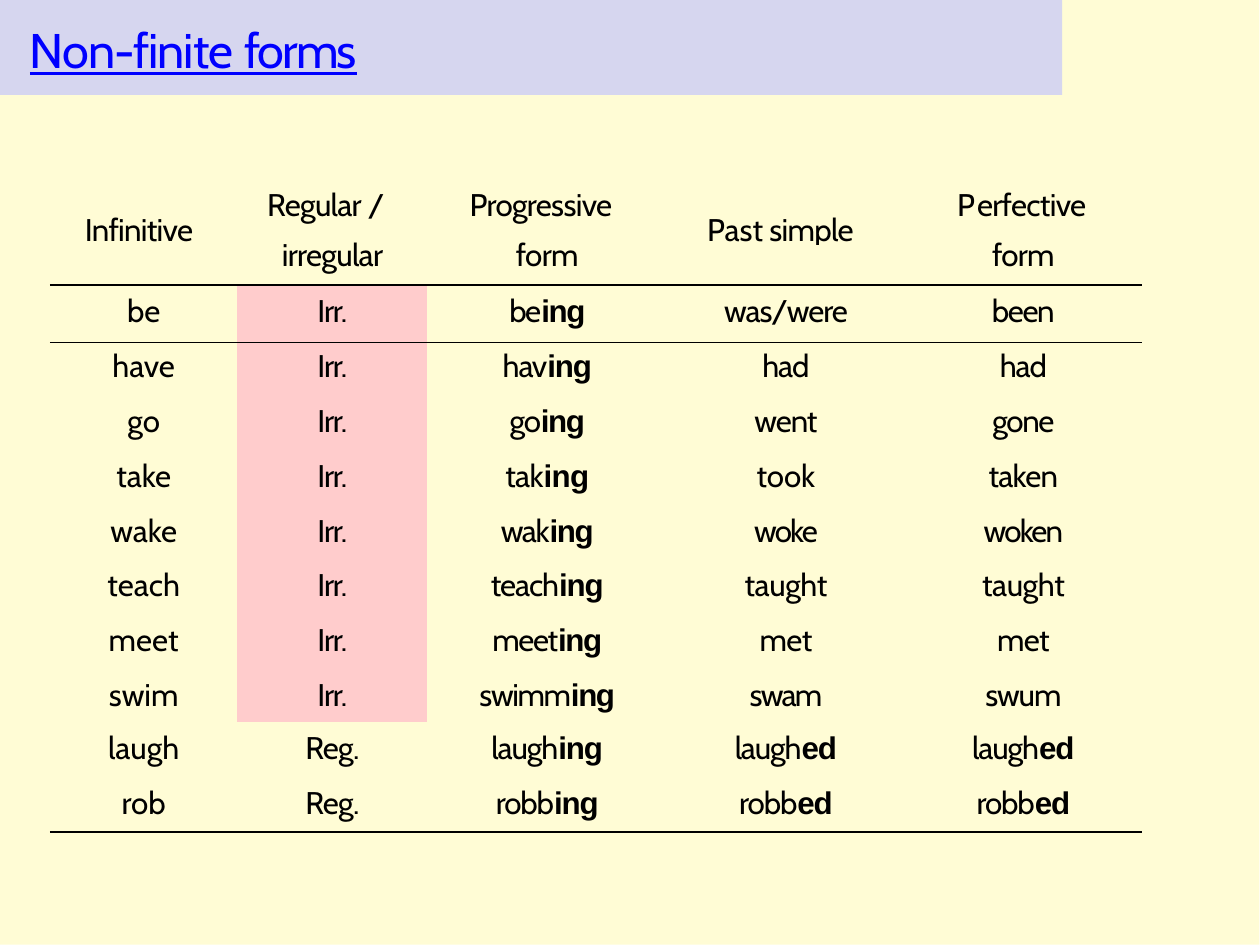
from lxml import etree
from pptx import Presentation
from pptx.dml.color import RGBColor
from pptx.enum.shapes import MSO_SHAPE
from pptx.enum.text import MSO_ANCHOR, MSO_AUTO_SIZE, PP_ALIGN
from pptx.oxml import parse_xml
from pptx.oxml.ns import nsdecls, qn
from pptx.util import Inches, Pt

RECTANGLE = MSO_SHAPE.RECTANGLE
TOP = MSO_ANCHOR.TOP
NO_AUTOSIZE = MSO_AUTO_SIZE.NONE
LEFT, CENTER = PP_ALIGN.LEFT, PP_ALIGN.CENTER

CREAM = RGBColor(0xFF, 0xFC, 0xD5)
LAVENDER = RGBColor(0xD6, 0xD6, 0xEF)
PINK = RGBColor(0xFF, 0xCC, 0xCC)
BLUE = RGBColor(0x00, 0x00, 0xFF)
BLACK = RGBColor(0x00, 0x00, 0x00)

BODY_FONT, ENDING_FONT = "Cabin", "Arial"
BODY_SIZE = 9
NO_STYLE_NO_GRID = "{2D5ABB26-0587-4C30-8999-92F81FD0307C}"
TITLE_RUNS = [("Non-finite", -0.3), (" ", -0.1), ("forms", -0.6)]

COLUMN_WIDTHS = [0.75, 0.76, 0.96, 0.95, 0.95]
ROW_HEIGHTS = [0.16, 0.23] + [0.22] * 6 + [0.2, 0.23, 0.21]
RULED_ROWS = (0, 1, 10)

HEADER_LABELS = [
    (0.33, 0.83, 0.49, [("Infinitive", -0.2)]),
    (1.06, 0.73, 0.54, [("Regular ", -0.2), ("/", 1.1)]),
    (1.87, 0.73, 0.63, [("Progressive", -0.2)]),
    (2.82, 0.83, 0.64, [("Past", 0), (" simple", -0.2)]),
    (3.82, 0.73, 0.55, [("P", 0.6), ("erfective", -0.2)]),
]
HEADER_SECOND_LINES = ["", "irregular", "form", "", "form"]

VERBS = [
    ("be", "Irr.", "be|ing", "was/were", "been", (-0.4, -0.3, -0.4)),
    ("have", "Irr.", "hav|ing", "had", "had", (-0.3, -0.3, -0.3)),
    ("go", "Irr.", "go|ing", "went", "gone", (-0.4, -0.3, -0.4)),
    ("take", "Irr.", "tak|ing", "took", "taken", (-0.2, 0, -0.2)),
    ("wake", "Irr.", "wak|ing", "woke", "woken", (-0.4, -0.5, -0.5)),
    ("teach", "Irr.", "teach|ing", "taught", "taught", (-0.3, -0.1, -0.1)),
    ("meet", "Irr.", "meet|ing", "met", "met", (-0.4, -0.2, -0.2)),
    ("swim", "Irr.", "swimm|ing", "swam", "swum", (-0.4, -0.5, -0.3)),
    ("laugh", "Reg.", "laugh|ing", "laugh|ed", "laugh|ed", (-0.3, -0.3, -0.3)),
    ("rob", "Reg.", "robb|ing", "robb|ed", "robb|ed", (-0.3, -0.3, -0.3)),
]


def add_run(paragraph, text, spacing, size=BODY_SIZE, color=BLACK):
    run = paragraph.add_run()
    run.text = text
    run.font.name = BODY_FONT
    run.font.size = Pt(size)
    run.font.color.rgb = color
    run._r.get_or_add_rPr().set("spc", str(round(spacing * 100)))
    return run


def prepare_frame(text_frame, top_inset, space_before):
    text_frame.word_wrap = True
    text_frame.auto_size = NO_AUTOSIZE
    text_frame.vertical_anchor = TOP
    text_frame.margin_left = Inches(0.01)
    text_frame.margin_right = text_frame.margin_bottom = 0
    text_frame.margin_top = Inches(top_inset)
    paragraph = text_frame.paragraphs[0]
    paragraph.alignment = LEFT
    paragraph.line_spacing = 1.0
    paragraph.space_before = Pt(space_before)
    return paragraph


def add_title(slide):
    title = slide.shapes.title
    title.left, title.top = Inches(0.11), Inches(0.06)
    title.width, title.height = Inches(1.35), Inches(0.27)
    paragraph = prepare_frame(title.text_frame, 0.02, 1.4)
    for text, spacing in TITLE_RUNS:
        run = add_run(paragraph, text, spacing, 14, BLUE)
        run.font.underline = True


def add_panel(slide, width, height, color):
    panel = slide.shapes.add_shape(RECTANGLE, 0, 0, Inches(width), Inches(height))
    panel.shadow.inherit = False
    panel.fill.solid()
    panel.fill.fore_color.rgb = color
    panel.line.fill.background()
    slide.shapes.title.element.addprevious(panel.element)


def add_label(slide, left, top, width, runs):
    label = slide.shapes.add_textbox(Inches(left), Inches(top), Inches(width), Inches(0.18))
    paragraph = prepare_frame(label.text_frame, 0.01, 0.9)
    for text, spacing in runs:
        add_run(paragraph, text, spacing)


def format_cell(cell, fill, top_inset):
    cell.margin_left = cell.margin_right = cell.margin_bottom = 0
    cell.margin_top = Inches(top_inset)
    cell.vertical_anchor = TOP
    cell.fill.solid()
    cell.fill.fore_color.rgb = fill
    paragraph = cell.text_frame.paragraphs[0]
    paragraph.alignment = CENTER
    return paragraph


def rule_below(cell):
    cell._tc.get_or_add_tcPr().insert(0, parse_xml(
        f'<a:lnB {nsdecls("a")} w="{Pt(0.5)}"><a:solidFill>'
        f'<a:srgbClr val="{BLACK}"/></a:solidFill></a:lnB>'))


def fill_header_row(table):
    for column, text in enumerate(HEADER_SECOND_LINES):
        paragraph = format_cell(table.cell(0, column), CREAM, 0)
        paragraph.line_spacing = Pt(8.6)
        if text:
            add_run(paragraph, text, -0.2)
        else:
            etree.SubElement(paragraph._p, qn("a:endParaRPr"), sz=str(BODY_SIZE * 100))


def fill_verb_row(table, row, verb):
    *forms, form_spacings = verb
    irregular = forms[1] == "Irr."
    spacings = (0, -0.3 if irregular else -0.2, *form_spacings)
    spacious = row in (1, 9)
    for column, (form, spacing) in enumerate(zip(forms, spacings)):
        fill = PINK if irregular and column == 1 else CREAM
        paragraph = format_cell(table.cell(row, column), fill, 0.03 if spacious else 0.02)
        paragraph.space_before = Pt(2.3 if spacious else 1.2)
        stem, _, ending = form.partition("|")
        add_run(paragraph, stem, spacing)
        if ending:
            run = add_run(paragraph, ending, spacing)
            run.font.name = ENDING_FONT
            run.font.bold = True


def add_verb_table(slide):
    table = slide.shapes.add_table(
        len(ROW_HEIGHTS), len(COLUMN_WIDTHS), Inches(0.2), Inches(0.98),
        Inches(sum(COLUMN_WIDTHS)), Inches(sum(ROW_HEIGHTS))).table
    table.first_row = table.horz_banding = False
    table._tbl.tblPr.find(qn("a:tableStyleId")).text = NO_STYLE_NO_GRID
    for column, width in zip(table.columns, COLUMN_WIDTHS):
        column.width = Inches(width)
    for row, height in zip(table.rows, ROW_HEIGHTS):
        row.height = Inches(height)
    fill_header_row(table)
    for row, verb in enumerate(VERBS, start=1):
        fill_verb_row(table, row, verb)
    for row in RULED_ROWS:
        for cell in table.rows[row].cells:
            rule_below(cell)


def main():
    presentation = Presentation()
    presentation.slide_width = Pt(363)
    presentation.slide_height = Pt(272.5)
    slide = presentation.slides.add_slide(presentation.slide_layouts[5])
    add_title(slide)
    add_panel(slide, 5.04, 3.78, CREAM)
    add_panel(slide, 4.25, 0.38, LAVENDER)
    for label in HEADER_LABELS:
        add_label(slide, *label)
    add_verb_table(slide)
    presentation.save("out.pptx")


if __name__ == "__main__":
    main()
